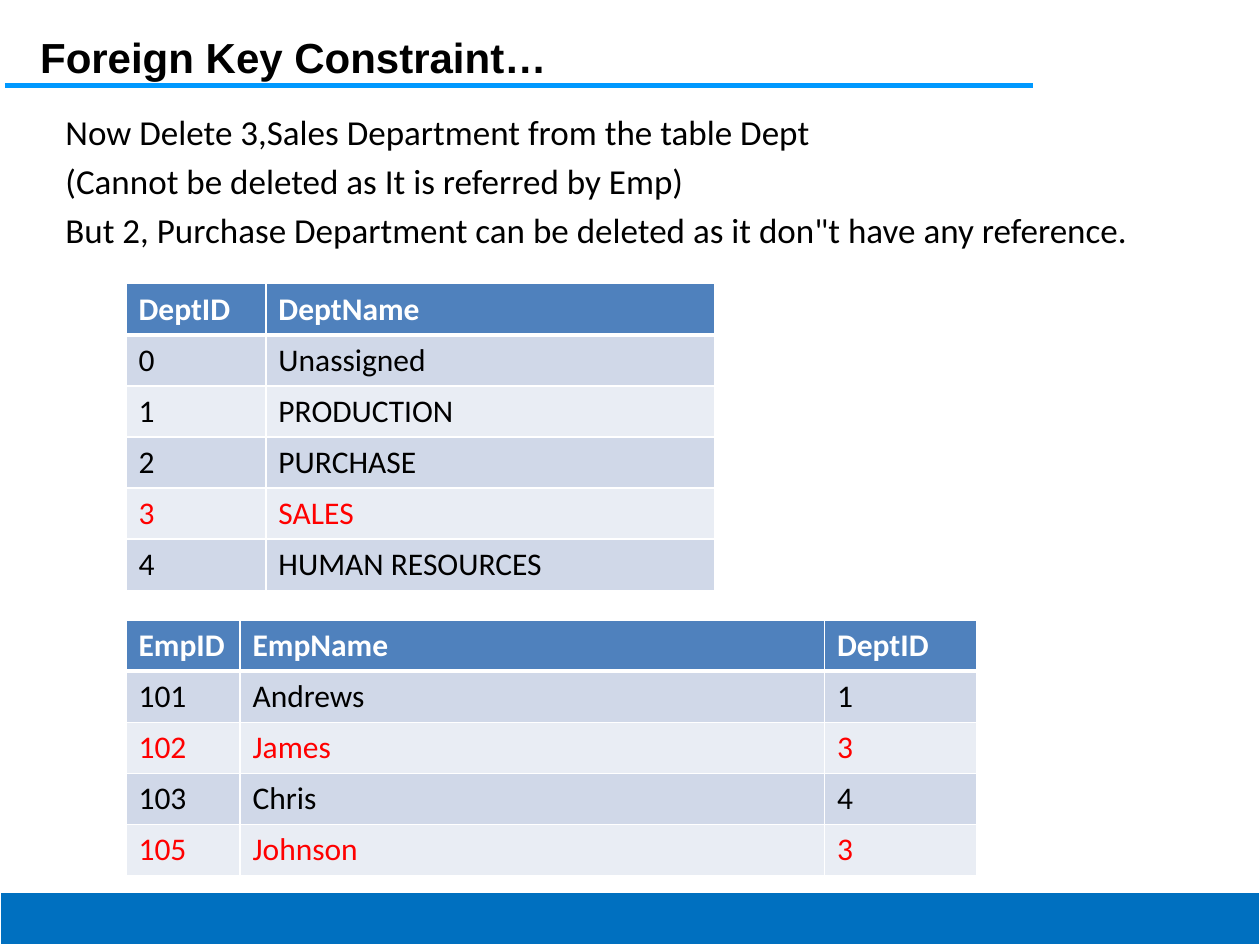
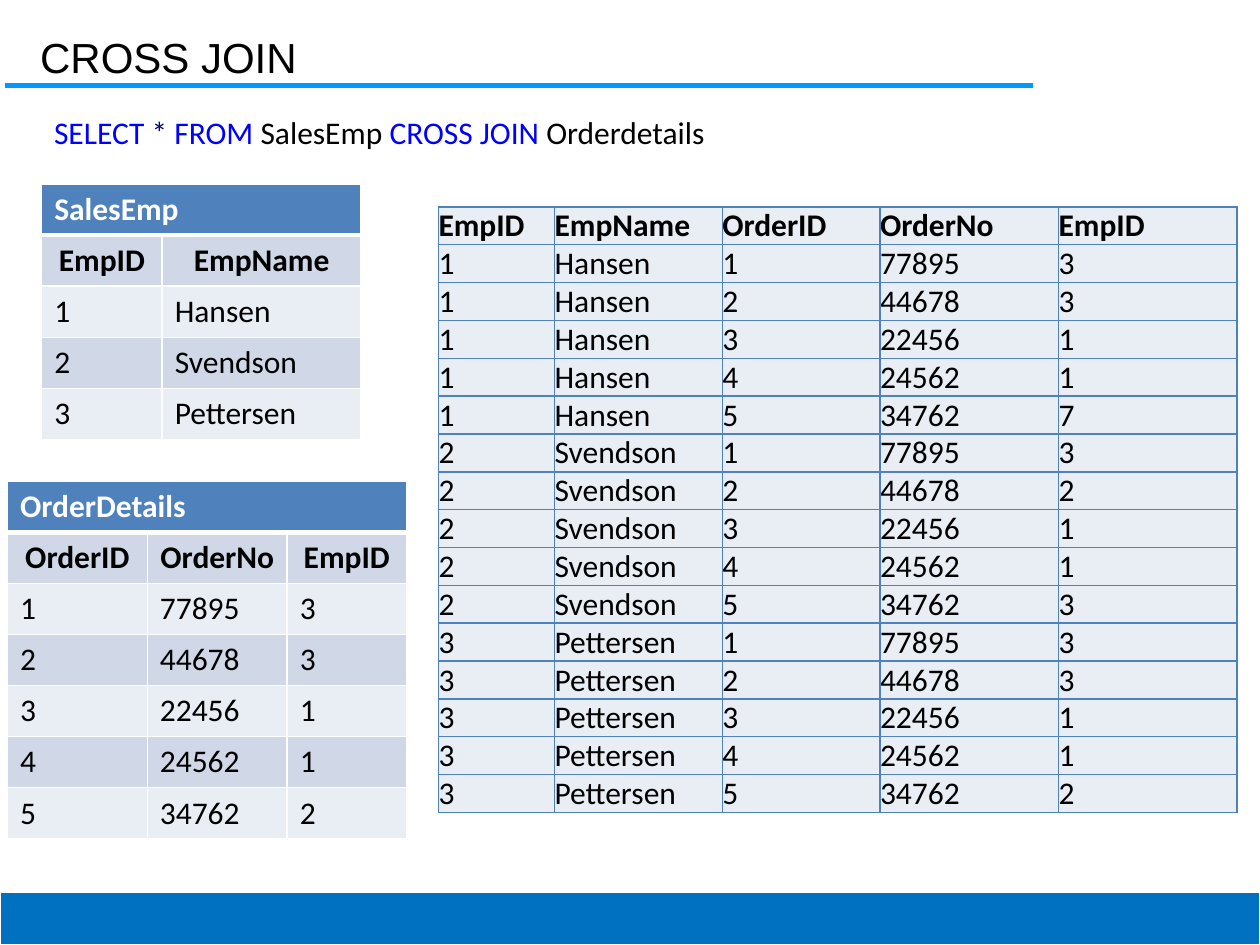
from itertools import product

from lxml.etree import SubElement
from pptx import Presentation
from pptx.dml.color import RGBColor
from pptx.enum.shapes import MSO_CONNECTOR as CONNECTOR, MSO_SHAPE as SHAPE
from pptx.enum.text import MSO_ANCHOR as ANCHOR, PP_ALIGN as ALIGN
from pptx.oxml.ns import qn
from pptx.util import Cm, Pt

COLORS = {
    "black": "000000",
    "white": "FFFFFF",
    "red": "FF0000",
    "keyword": "0000FF",
    "operator": "000080",
    "rule": "0099FF",
    "footer": "0070C0",
    "header": "4F81BD",
    "dark_band": "D0D8E8",
    "light_band": "E9EDF4",
}
ROW_HEIGHT = 1.03


def rgb(name):
    return RGBColor.from_string(COLORS[name])


def style(font, size, color="black", bold=False, name="Calibri"):
    font.name = name
    font.size = Pt(size)
    font.bold = bold
    font.color.rgb = rgb(color)


def add_text(s, left, top, width, height):
    tf = s.shapes.add_textbox(Cm(left), Cm(top), Cm(width), Cm(height)).text_frame
    tf.word_wrap = True
    return tf


def add_frame(prs, title, bold=False):
    s = prs.slides.add_slide(prs.slide_layouts[6])
    rule = s.shapes.add_connector(CONNECTOR.STRAIGHT, Cm(0.1), Cm(1.73), Cm(20.83), Cm(1.73))
    rule.line.color.rgb = rgb("rule")
    rule.line.width = Pt(2.89)
    SubElement(rule._element.spPr, qn("a:effectLst"))

    tf = add_text(s, 0.58, 0.43, 20.24, 1.02)
    tf.margin_left = tf.margin_right = Cm(0.23)
    tf.margin_top = Cm(0.2)
    tf.margin_bottom = Cm(0.1)
    p = tf.paragraphs[0]
    p.text = title
    style(p.font, 24, bold=bold, name="Arial")

    band = s.shapes.add_shape(SHAPE.RECTANGLE, 0, Cm(17.98), prs.slide_width, Cm(1.07))
    band.shadow.inherit = False
    band.fill.solid()
    band.fill.fore_color.rgb = rgb("footer")
    band.line.color.rgb = rgb("white")
    band.line.width = Pt(0.75)
    return s


def add_lines(s, lines):
    tf = add_text(s, 1.07, 2.11, 23.29, 3.38)
    for i, line in enumerate(lines):
        p = tf.add_paragraph() if i else tf.paragraphs[0]
        p.text = line
        p.space_before = Pt(4 if i else 0)
        style(p.font, 20)


def add_query(s, parts):
    p = add_text(s, 0.84, 2.16, 16.13, 1.02).paragraphs[0]
    for text, color in parts:
        r = p.add_run()
        r.text = text
        style(r.font, 18, color)


def set_borders(cell, color, top=1, bottom=1):
    tc_pr = cell._tc.get_or_add_tcPr()
    for side, width in (("L", 1), ("R", 1), ("T", top), ("B", bottom)):
        ln = SubElement(tc_pr, qn(f"a:ln{side}"), w=str(Pt(width)))
        fill = SubElement(ln, qn("a:solidFill"))
        SubElement(fill, qn("a:srgbClr"), val=COLORS[color])


def set_cell(cell, text, fill, color="black", bold=False):
    cell.fill.solid()
    cell.fill.fore_color.rgb = rgb(fill)
    p = cell.text_frame.paragraphs[0]
    p.text = text
    style(p.font, 18, color, bold)
    return p


def add_grid(s, left, top, widths, row_count, row_height):
    table = s.shapes.add_table(
        row_count, len(widths), Cm(left), Cm(top), Cm(sum(widths)), Cm(row_height * row_count)
    ).table
    table.first_row = table.horz_banding = False
    for column, width in zip(table.columns, widths):
        column.width = Cm(width)
    for row in table.rows:
        row.height = Cm(row_height)
    return table


def add_banded_table(s, left, top, widths, rows, caption=None, red_rows=()):
    if caption:
        rows = [[caption] + [""] * (len(widths) - 1)] + rows
    table = add_grid(s, left, top, widths, len(rows), ROW_HEIGHT)
    for i, row in enumerate(rows):
        subheader = bool(caption) and i == 1
        fill = "header" if i == 0 else "dark_band" if i % 2 else "light_band"
        color = "white" if i == 0 else "red" if i in red_rows else "black"
        for j, text in enumerate(row):
            cell = table.cell(i, j)
            set_borders(cell, "white", top=3 if i == 1 else 1, bottom=1 if i else 3)
            p = set_cell(cell, text, fill, color, bold=i == 0 or subheader)
            if subheader:
                p.alignment = ALIGN.CENTER
    if caption:
        table.cell(0, 0).merge(table.cell(0, len(widths) - 1))


def add_result_table(s, left, top, widths, rows):
    table = add_grid(s, left, top, widths, len(rows), 0.76)
    for i, row in enumerate(rows):
        for j, text in enumerate(row):
            cell = table.cell(i, j)
            cell.margin_left = cell.margin_right = cell.margin_top = cell.margin_bottom = 0
            cell.vertical_anchor = ANCHOR.MIDDLE
            set_borders(cell, "header")
            set_cell(cell, text, "light_band", bold=i == 0)


def build_foreign_key(prs):
    s = add_frame(prs, "Foreign Key Constraint…", bold=True)
    add_lines(s, [
        "Now Delete 3,Sales Department from the table Dept",
        "(Cannot be deleted as It is referred by Emp)",
        "But 2, Purchase Department can be deleted as it don\"t have any reference.",
    ])
    departments = ["Unassigned", "PRODUCTION", "PURCHASE", "SALES", "HUMAN RESOURCES"]
    dept_rows = [[str(i), name] for i, name in enumerate(departments)]
    add_banded_table(s, 2.54, 5.72, [2.82, 9.04], [["DeptID", "DeptName"]] + dept_rows, red_rows=[4])
    add_banded_table(s, 2.54, 12.5, [2.3, 11.78, 3.07], [
        ["EmpID", "EmpName", "DeptID"],
        ["101", "Andrews", "1"],
        ["102", "James", "3"],
        ["103", "Chris", "4"],
        ["105", "Johnson", "3"],
    ], red_rows=[2, 4])


def build_cross_join(prs):
    s = add_frame(prs, "CROSS JOIN")
    add_query(s, [
        ("SELECT ", "keyword"),
        ("* ", "operator"),
        ("FROM ", "keyword"),
        ("SalesEmp ", "black"),
        ("CROSS JOIN ", "keyword"),
        ("Orderdetails", "black"),
    ])
    emp_head = ["EmpID", "EmpName"]
    order_head = ["OrderID", "OrderNo", "EmpID"]
    employees = [["1", "Hansen"], ["2", "Svendson"], ["3", "Pettersen"]]
    orders = [
        ["1", "77895", "3"],
        ["2", "44678", "3"],
        ["3", "22456", "1"],
        ["4", "24562", "1"],
        ["5", "34762", "2"],
    ]
    result_emp_ids = "33117" "32113" "33112"
    joined = [
        emp + order[:2] + [emp_id]
        for (emp, order), emp_id in zip(product(employees, orders), result_emp_ids)
    ]
    add_result_table(s, 8.84, 4.17, [2.34, 3.38, 3.18, 3.6, 3.6], [emp_head + order_head] + joined)
    add_banded_table(s, 0.15, 9.7, [2.82, 2.82, 2.4], [order_head] + orders, "OrderDetails")
    add_banded_table(s, 0.84, 3.71, [2.43, 4.01], [emp_head] + employees, "SalesEmp")


def main():
    prs = Presentation()
    prs.slide_width = Cm(25.4)
    prs.slide_height = Cm(19.05)
    build_foreign_key(prs)
    build_cross_join(prs)
    prs.save("out.pptx")


if __name__ == "__main__":
    main()
